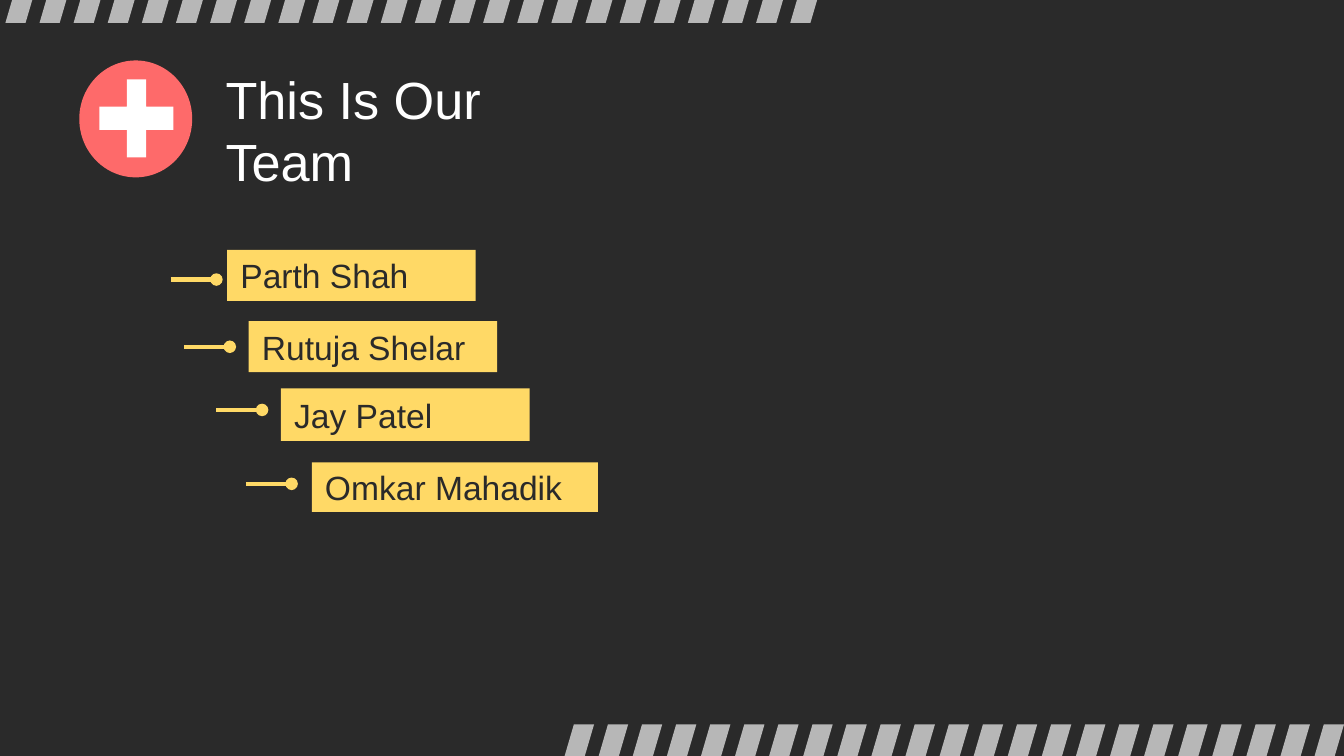
from lxml import etree
from pptx import Presentation
from pptx.dml.color import RGBColor
from pptx.enum.shapes import MSO_CONNECTOR as LINK, MSO_SHAPE as KIND
from pptx.enum.text import MSO_ANCHOR as ANCHOR, PP_ALIGN as ALIGN
from pptx.oxml.ns import qn
from pptx.util import Inches, Pt

DARK = RGBColor(0x2A, 0x2A, 0x2A)
GREY = RGBColor(0xB7, 0xB7, 0xB7)
WHITE = RGBColor(0xFF, 0xFF, 0xFF)
GOLD = RGBColor(0xFF, 0xD9, 0x66)
CORAL = RGBColor(0xFE, 0x6A, 0x6A)


def write(frame, text, size=18, color=DARK, font="Arial"):
    frame.word_wrap = True
    frame.vertical_anchor = ANCHOR.MIDDLE
    frame.margin_left = frame.margin_right = Inches(0.1)
    frame.margin_top = frame.margin_bottom = Inches(0.1)
    line = frame.paragraphs[0]
    line.text = text
    line.alignment = ALIGN.LEFT
    line.font.size = Pt(size)
    line.font.name = font
    line.font.color.rgb = color


class Deck:
    """Draws styled elements on the current slide."""

    def __init__(self, width, height, back):
        self.file = Presentation()
        self.file.slide_width = Inches(width)
        self.file.slide_height = Inches(height)
        self.slide = self.file.slides.add_slide(self.file.slide_layouts[6])
        self.slide.background.fill.solid()
        self.slide.background.fill.fore_color.rgb = back
        self.shapes = self.slide.shapes

    def paint(self, shape, color):
        shape.shadow.inherit = False
        shape.fill.solid()
        shape.fill.fore_color.rgb = color
        shape.line.fill.background()
        return shape

    def shape(self, kind, box, color):
        return self.paint(self.shapes.add_shape(kind, *map(Inches, box)), color)

    def title(self, box, text):
        frame = self.shapes.add_textbox(*map(Inches, box)).text_frame
        write(frame, text, size=28, color=WHITE)

    def label(self, box, text):
        write(self.shape(KIND.RECTANGLE, box, GOLD).text_frame, text)

    def stripes(self, first, last, count, top, high=0.58, wide=0.15, slant=0.17):
        step = (last - first) / (count - 1)
        for i in range(count):
            x, end = first + i * step, top + high
            spots = [(x + slant + wide, top), (x + slant, top), (x, end), (x + wide, end)]
            start, *rest = [(Inches(a), Inches(b)) for a, b in spots]
            path = self.shapes.build_freeform(*start, scale=1.0)
            path.add_line_segments(rest, close=True)
            self.paint(path.convert_to_shape(), GREY)

    def pin(self, x, y, reach=0.34):
        ends = map(Inches, (x, y, x + reach, y))
        line = self.shapes.add_connector(LINK.STRAIGHT, *ends)
        line.line.color.rgb = GOLD
        line.line.width = Pt(2.25)
        etree.SubElement(line.line._get_or_add_ln(), qn("a:tailEnd"), type="oval")
        etree.SubElement(line._element.spPr, qn("a:effectLst"))


def main():
    deck = Deck(10, 10 * 9 / 16, DARK)
    deck.stripes(0.04, 5.88, 24, -0.41)
    deck.stripes(4.1, 9.68, 23, 5.39)
    deck.title((1.58, 0.65, 2.85, 0.63), "This Is Our Team")
    deck.shape(KIND.OVAL, (0.59, 0.45, 0.84, 0.87), CORAL)
    plus = deck.shape(KIND.CROSS, (0.74, 0.59, 0.55, 0.58), WHITE)
    plus.adjustments[0] = 0.37
    team = [
        ("Parth Shah", (1.69, 1.86, 1.85, 0.38), (1.27, 2.08)),
        ("Rutuja Shelar", (1.85, 2.39, 1.85, 0.38), (1.37, 2.58)),
        ("Jay Patel", (2.09, 2.89, 1.85, 0.39), (1.61, 3.05)),
        ("Omkar Mahadik", (2.32, 3.44, 2.13, 0.37), (1.83, 3.6)),
    ]
    for name, box, spot in team:
        deck.pin(*spot)
        deck.label(box, name)
    deck.file.save("out.pptx")


if __name__ == "__main__":
    main()
